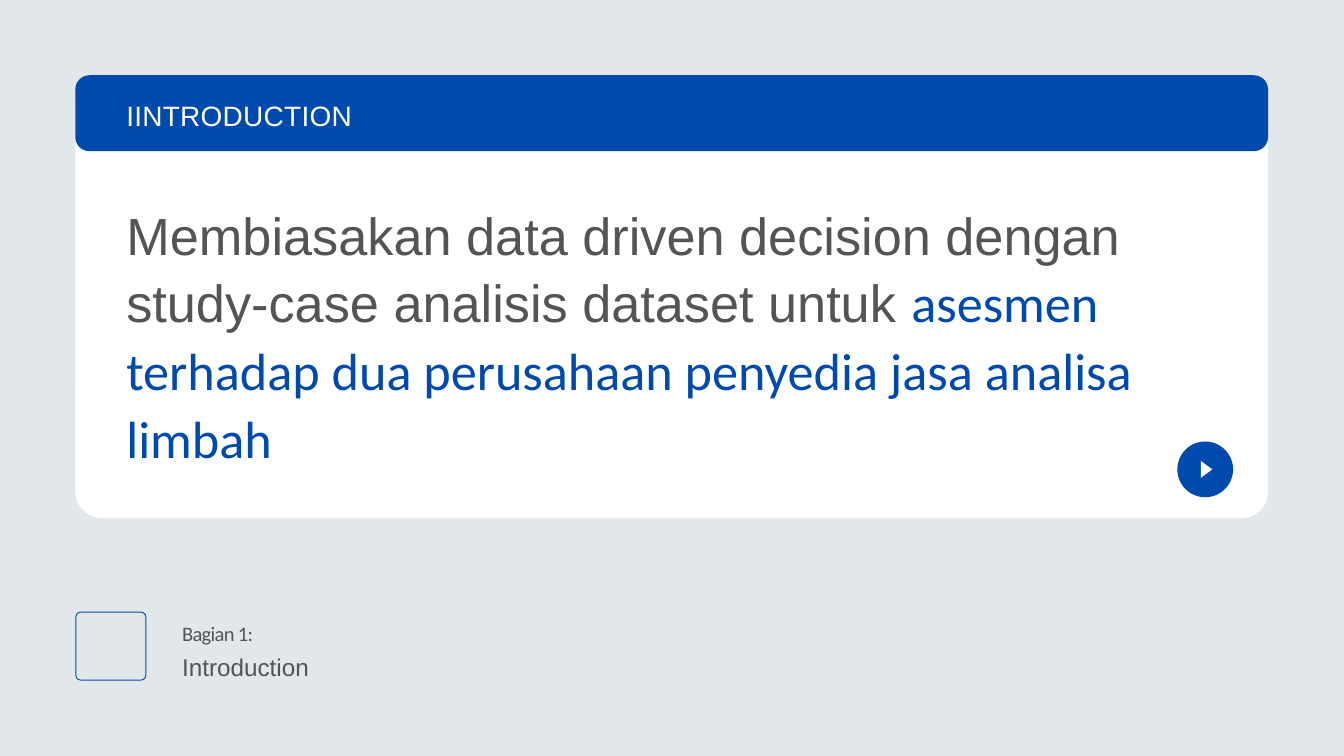
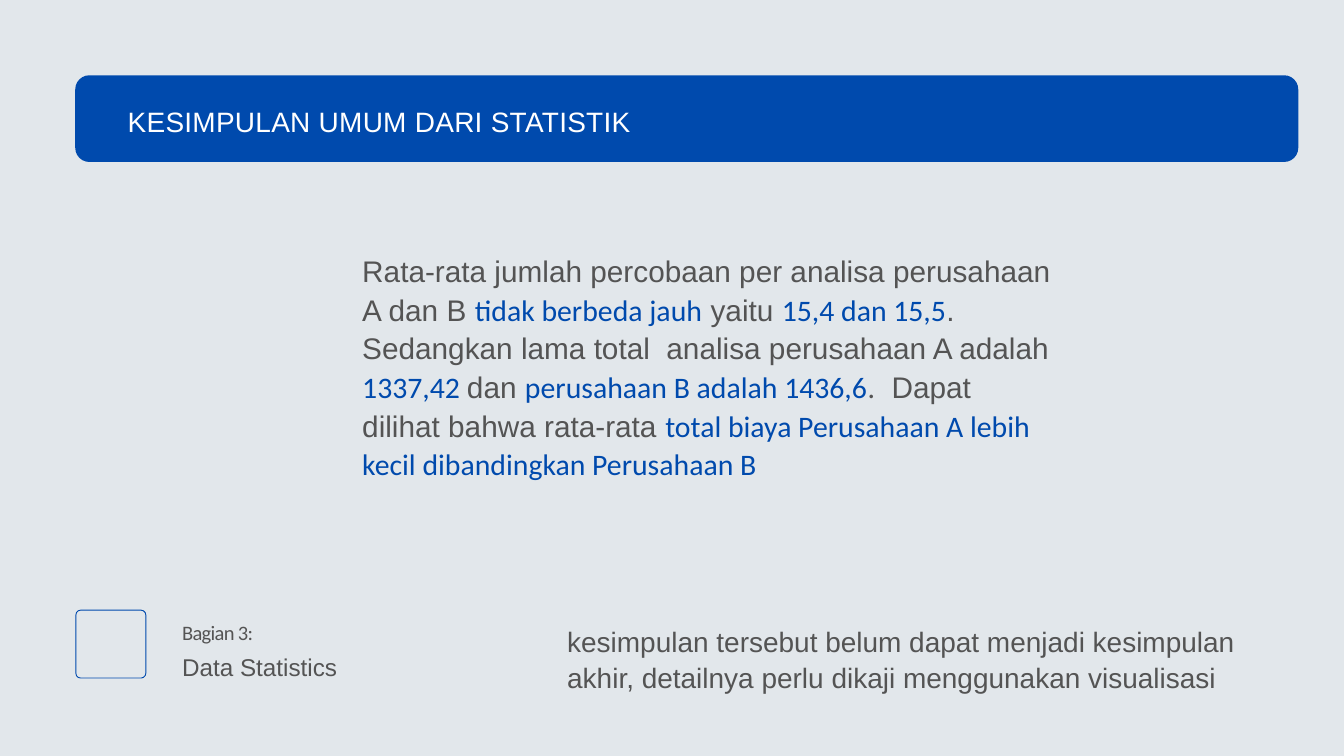
"""Builds two slides of a data analysis talk: the introduction and the statistical conclusion."""
from pptx import Presentation
from pptx.dml.color import RGBColor
from pptx.enum.shapes import MSO_SHAPE
from pptx.util import Inches, Pt

ROUNDED = MSO_SHAPE.ROUNDED_RECTANGLE
OVAL = MSO_SHAPE.OVAL
TRIANGLE = MSO_SHAPE.ISOSCELES_TRIANGLE

COLORS = {"back": "E2E7EB", "blue": "004AAD", "grey": "545454", "white": "FFFFFF"}
STYLES = {
    "plain": ("Arial", "grey"),
    "accent": ("Calibri", "blue"),
    "label": ("Calibri", "grey"),
    "title": ("Arial", "white"),
}
MARGIN = 1.12

INTRO = {
    "title": "IINTRODUCTION",
    "title_at": (1.88, 1.43, 10.62, 0.52),
    "band": (17.75, 1.13),
    "part": "Bagian 1:",
    "section": "Introduction",
    "footer_tops": (9.1, 9.21, 9.63),
    "texts": [
        ((1.88, 2.94, 15.64, 4.03), 56, 72.8, [
            ("plain", "Membiasakan data driven decision dengan study-case analisis dataset untuk "),
            ("accent", "asesmen terhadap dua perusahaan penyedia jasa analisa limbah"),
        ]),
    ],
}
CONCLUSION = {
    "title": "KESIMPULAN UMUM DARI STATISTIK",
    "title_at": (1.9, 1.51, 10.89, 0.52),
    "band": (18.2, 1.29),
    "part": "Bagian 3:",
    "section": "Data Statistics",
    "footer_tops": (9.07, 9.19, 9.64),
    "texts": [
        ((5.39, 3.72, 10.28, 4.02), 31.9, 41.4, [
            ("plain", "Rata-rata jumlah percobaan per analisa perusahaan A dan B "),
            ("accent", "tidak berbeda jauh"),
            ("plain", " yaitu "),
            ("accent", "15,4 dan 15,5"),
            ("plain", ". Sedangkan lama total  analisa perusahaan A adalah "),
            ("accent", "1337,42 "),
            ("plain", "dan "),
            ("accent", "perusahaan B adalah 1436,6"),
            ("label", "."),
            ("plain", "  Dapat dilihat bahwa rata-rata "),
            ("accent", "total biaya Perusahaan A lebih kecil dibandingkan Perusahaan B"),
        ]),
        ((8.44, 9.25, 10.89, 1.07), 30, 39, [
            ("plain", "kesimpulan tersebut belum dapat menjadi kesimpulan akhir, "
                      "detailnya perlu dikaji menggunakan visualisasi"),
        ]),
    ],
}


def color(name):
    return RGBColor.from_string(COLORS[name])


def add_shape(s, kind, box, fill=None, line=None, radius=None):
    sp = s.shapes.add_shape(kind, *map(Inches, box))
    sp.shadow.inherit = False
    if fill:
        sp.fill.solid()
        sp.fill.fore_color.rgb = color(fill)
    else:
        sp.fill.background()
    if line:
        sp.line.color.rgb = color(line)
        sp.line.width = Pt(1)
    else:
        sp.line.fill.background()
    if radius:
        sp.adjustments[0] = radius / min(box[2:])
    return sp


def add_text(s, box, size, leading, runs, tracking=0):
    tf = s.shapes.add_textbox(*map(Inches, box)).text_frame
    tf.word_wrap = True
    tf.margin_left = tf.margin_right = tf.margin_top = tf.margin_bottom = 0
    p = tf.paragraphs[0]
    p.line_spacing = Pt(leading)
    p.font.size = Pt(size)
    for style, text in runs:
        font, tint = STYLES[style]
        r = p.add_run()
        r.text = text
        r.font.size = Pt(size)
        r.font.name = font
        r.font.color.rgb = color(tint)
        if tracking:
            r.font._element.set("spc", str(round(tracking * 100)))


def add_card(s):
    add_shape(s, ROUNDED, (MARGIN, MARGIN, 17.75, 6.59), "white", radius=0.4)


def add_play_button(s):
    add_shape(s, OVAL, (17.52, 6.57, 0.83, 0.83), "blue")
    add_shape(s, TRIANGLE, (17.83, 6.9, 0.25, 0.17), "white").rotation = 90


def add_frame(s, content):
    add_shape(s, ROUNDED, (MARGIN, MARGIN, *content["band"]), "blue", radius=0.21)
    add_text(s, content["title_at"], 30, 39, [("title", content["title"])], 0.3)
    box_top, part_top, section_top = content["footer_tops"]
    add_shape(s, ROUNDED, (MARGIN + 0.01, box_top + 0.01, 1.04, 1.01), line="blue", radius=0.07)
    add_text(s, (2.71, part_top, 3.7, 0.38), 22, 28.6, [("label", content["part"])], -0.7)
    add_text(s, (2.71, section_top, 3.7, 0.47), 26, 36.4, [("plain", content["section"])])


def add_slide(prs, content, with_card=False):
    s = prs.slides.add_slide(prs.slide_layouts[6])
    s.background.fill.solid()
    s.background.fill.fore_color.rgb = color("back")
    if with_card:
        add_card(s)
    add_frame(s, content)
    for box, size, leading, runs in content["texts"]:
        add_text(s, box, size, leading, runs)
    if with_card:
        add_play_button(s)


prs = Presentation()
prs.slide_width, prs.slide_height = Inches(20), Inches(11.25)
add_slide(prs, INTRO, with_card=True)
add_slide(prs, CONCLUSION)
prs.save("out.pptx")
